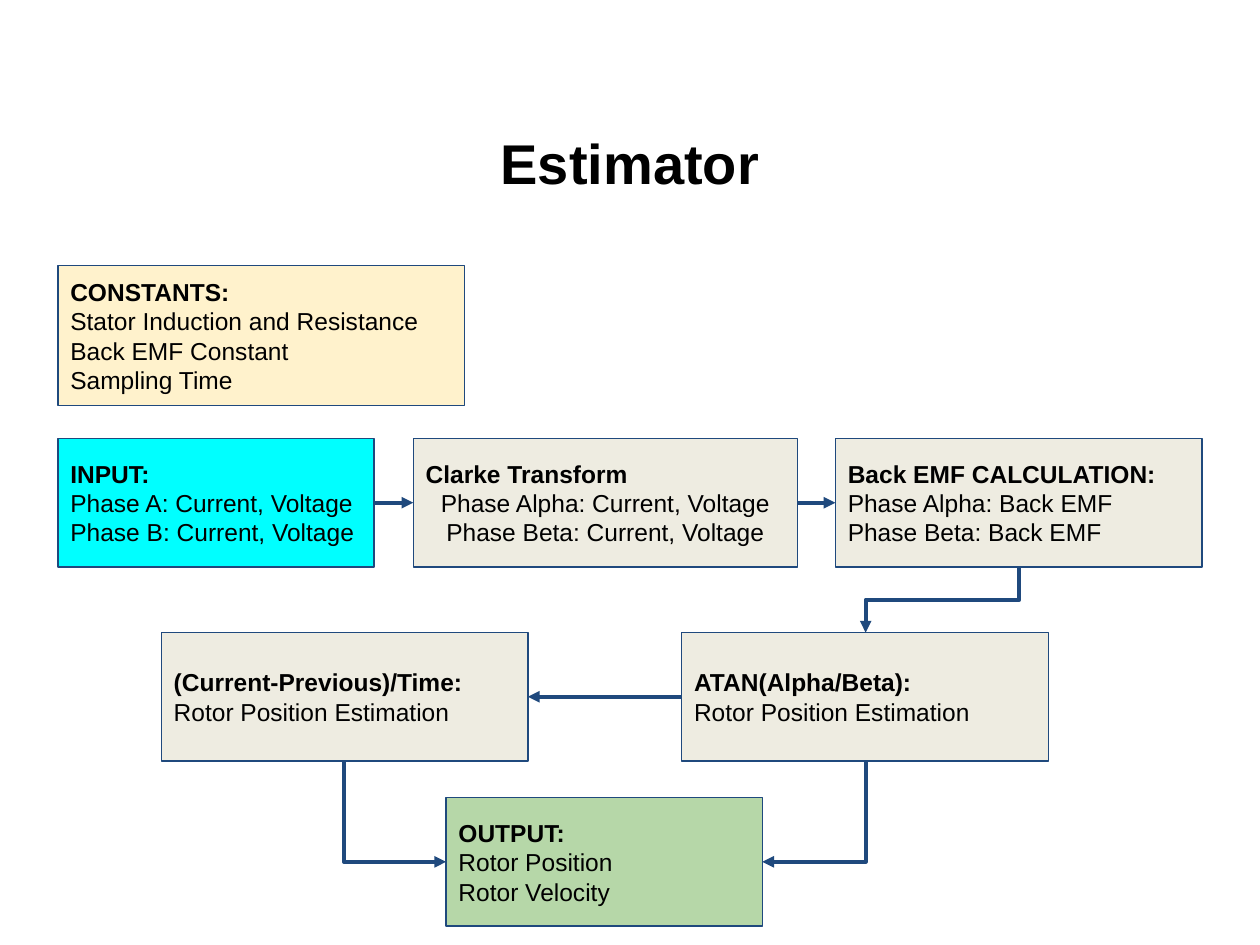
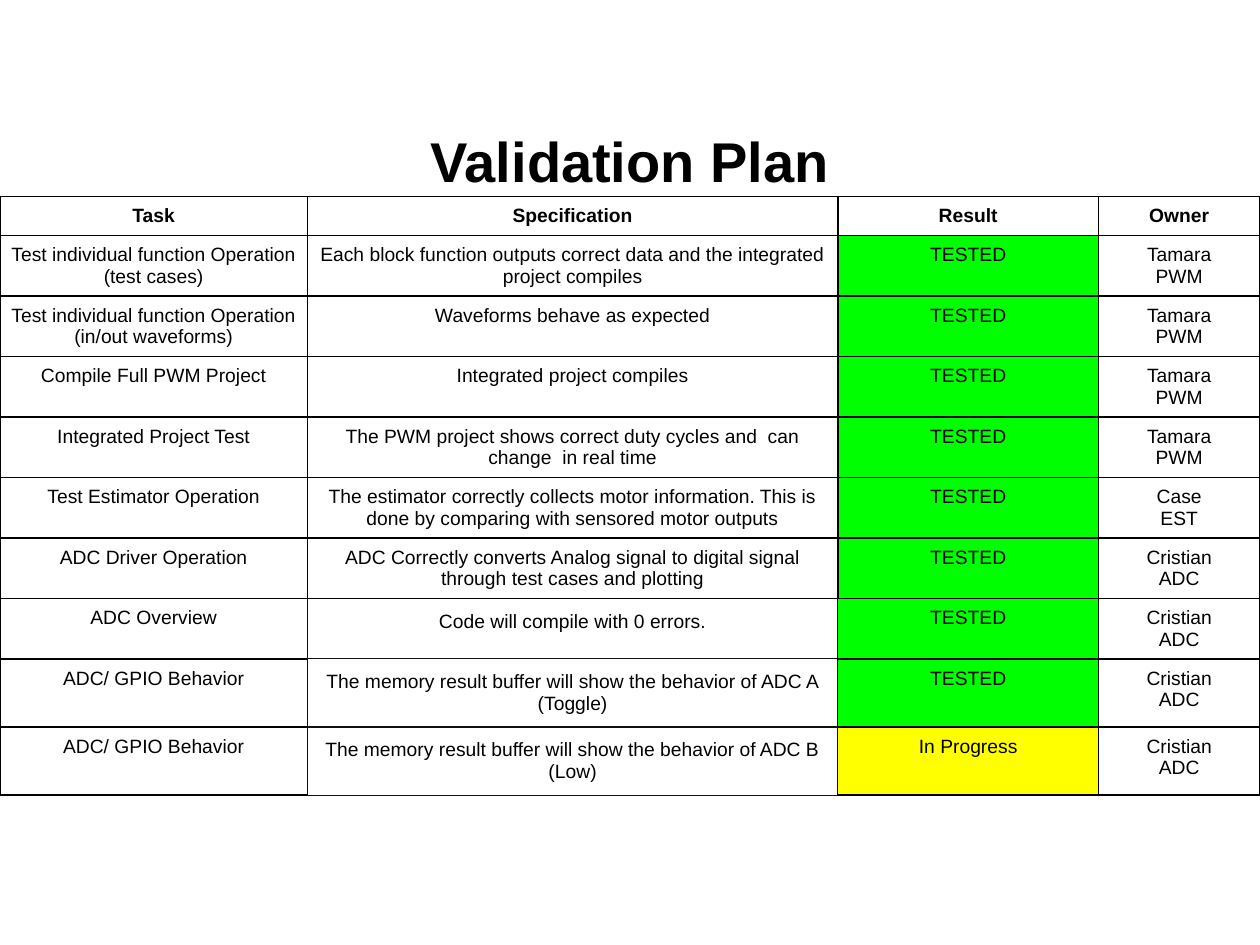
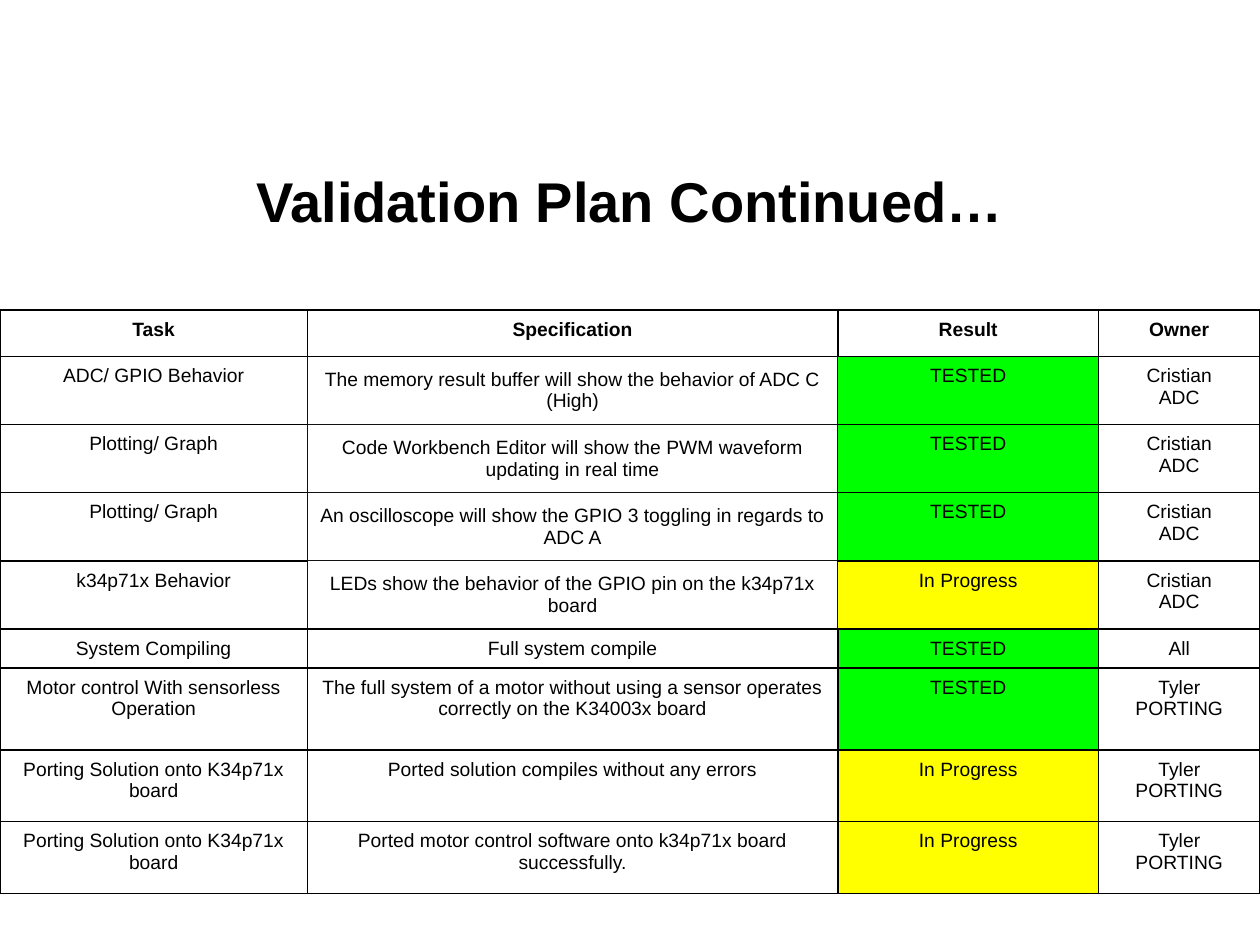
"""Build three slides: the estimator flow and the two-part validation plan."""
from lxml.etree import SubElement
from pptx import Presentation
from pptx.dml.color import RGBColor
from pptx.enum.shapes import MSO_CONNECTOR as LINK, MSO_SHAPE as SHAPE
from pptx.enum.text import MSO_ANCHOR as ANCHOR, MSO_AUTO_SIZE as AUTO, PP_ALIGN as ALIGN
from pptx.oxml.ns import qn
from pptx.util import Inches, Pt

COLORS = {
    "text": "000000", "line": "1F497D", "input": "00FFFF", "step": "EEECE1",
    "constants": "FFF2CC", "output": "B6D7A8", "thin": "111111",
    "TESTED": "00FF00", "In Progress": "FFFF00",
}
COLORS = {name: RGBColor.from_string(value) for name, value in COLORS.items()}
TITLE = {"name": "Arial", "size": Pt(32), "bold": True}
HEADING = {"name": "Arial", "size": Pt(14), "bold": True}
DETAIL = {**HEADING, "bold": False}
CELL = {"name": "Arial", "size": Pt(11), "bold": False}
CELL_HEAD = {**CELL, "bold": True}
SIDE = {"top": 0, "left": 1, "bottom": 2, "right": 3}


def write_lines(frame, lines):
    """Fill a text frame from (text, alignment, format) rows."""
    for index, (text, align, look) in enumerate(lines):
        para = frame.add_paragraph() if index else frame.paragraphs[0]
        para.alignment = align
        span = para.add_run()
        span.text = text
        for name, value in look.items():
            setattr(span.font, name, value)
        span.font.color.rgb = COLORS["text"]


def add_page(title, top):
    """Add a slide with its formatted title."""
    page = deck.slides.add_slide(deck.slide_layouts[5])
    box = page.shapes.title
    place = {"left": 0.5, "top": top, "width": 9, "height": 0.88}
    for name, value in place.items():
        setattr(box, name, Inches(value))
    box.text_frame.auto_size = AUTO.NONE
    box.text_frame.vertical_anchor = ANCHOR.MIDDLE
    write_lines(box.text_frame, [(title, ALIGN.CENTER, TITLE)])
    return page


deck = Presentation()
deck.slide_width, deck.slide_height = Inches(10), Inches(7.5)

page = add_page("Estimator", 0.85)
blocks = [
    ("constants", "constants", (0.46, 2.11, 3.23, 1.11), ALIGN.LEFT,
     ["CONSTANTS:", "Stator Induction and Resistance", "Back EMF Constant", "Sampling Time"]),
    ("input", "input", (0.46, 3.48, 2.51, 1.02), ALIGN.LEFT,
     ["INPUT:", "Phase A: Current, Voltage", "Phase B: Current, Voltage"]),
    ("clarke", "step", (3.28, 3.48, 3.05, 1.02), ALIGN.CENTER,
     ["Clarke Transform", "Phase Alpha: Current, Voltage", "Phase Beta: Current, Voltage"]),
    ("back_emf", "step", (6.63, 3.48, 2.91, 1.02), ALIGN.LEFT,
     ["Back EMF CALCULATION:", "Phase Alpha: Back EMF", "Phase Beta: Back EMF"]),
    ("position", "step", (5.41, 5.02, 2.91, 1.02), ALIGN.LEFT,
     ["ATAN(Alpha/Beta):", "Rotor Position Estimation"]),
    ("velocity", "step", (1.28, 5.02, 2.91, 1.02), ALIGN.LEFT,
     ["(Current-Previous)/Time:", "Rotor Position Estimation"]),
    ("output", "output", (3.54, 6.33, 2.51, 1.02), ALIGN.LEFT,
     ["OUTPUT:", "Rotor Position", "Rotor Velocity"]),
]
boxes = {}
for key, color, place, align, (heading, *details) in blocks:
    box = page.shapes.add_shape(SHAPE.RECTANGLE, *map(Inches, place))
    box.shadow.inherit = False
    box.fill.solid()
    box.fill.fore_color.rgb = COLORS[color]
    box.line.color.rgb = COLORS["line"]
    box.line.width = Pt(0.75)
    frame = box.text_frame
    frame.word_wrap = True
    frame.vertical_anchor = ANCHOR.MIDDLE
    for edge in SIDE:
        setattr(frame, f"margin_{edge}", Inches(0.1))
    write_lines(frame, [(heading, ALIGN.LEFT, HEADING)]
                + [(detail, align, DETAIL) for detail in details])
    boxes[key] = box

arrows = []
for start, start_side, end, end_side in [
    ("input", "right", "clarke", "left"),
    ("clarke", "right", "back_emf", "left"),
    ("position", "left", "velocity", "right"),
]:
    arrow = page.shapes.add_connector(LINK.STRAIGHT, 0, 0, 0, 0)
    arrow.begin_connect(boxes[start], SIDE[start_side])
    arrow.end_connect(boxes[end], SIDE[end_side])
    arrows.append(arrow)

for (start_x, start_y), (end_x, end_y), preset in [
    ((8.09, 4.5), (6.87, 5.02), "bentConnector3"),
    ((6.87, 6.04), (6.05, 6.84), "bentConnector2"),
    ((2.73, 6.04), (3.54, 6.84), "bentConnector2"),
]:
    width, height = end_y - start_y, abs(end_x - start_x)
    left = (start_x + end_x - width) / 2
    top = (start_y + end_y - height) / 2
    arrow = page.shapes.add_connector(
        LINK.ELBOW, *map(Inches, (left, top, left + width, top + height)))
    shape_xml = arrow._element.spPr
    shape_xml.find(qn("a:prstGeom")).set("prst", preset)
    turn = {"rot": "5400000"} if end_x < start_x else {"rot": "16200000", "flipH": "1"}
    for name, value in turn.items():
        shape_xml.find(qn("a:xfrm")).set(name, value)
    arrows.append(arrow)

for arrow in arrows:
    arrow.line.color.rgb = COLORS["line"]
    arrow.line.width = Pt(2.25)
    shape_xml = arrow._element.spPr
    SubElement(shape_xml.find(qn("a:ln")), qn("a:tailEnd"), type="triangle")
    SubElement(shape_xml, qn("a:effectLst"))

header = ("Task", "Specification", "Result", "Owner")
pwm, adc, porting = "Tamara\nPWM", "Cristian\nADC", "Tyler\nPORTING"
done, busy = "TESTED", "In Progress"
plans = [
    ("Validation Plan", 0.83, 1.56, [0.31] + [0.48] * 7 + [0.54] * 2, range(7, 10), [
        ("Test individual function Operation\n(test cases)",
         "Each block function outputs correct data and the integrated project compiles", done, pwm),
        ("Test individual function Operation\n(in/out waveforms)",
         "Waveforms behave as expected", done, pwm),
        ("Compile Full PWM Project", "Integrated project compiles", done, pwm),
        ("Integrated Project Test",
         "The PWM project shows correct duty cycles and  can change  in real time", done, pwm),
        ("Test Estimator Operation",
         "The estimator correctly collects motor information. "
         "This is done by comparing with sensored motor outputs", done, "Case\nEST"),
        ("ADC Driver Operation",
         "ADC Correctly converts Analog signal to digital signal "
         "through test cases and plotting", done, adc),
        ("ADC Overview", "Code will compile with 0 errors.", done, adc),
        ("ADC/ GPIO Behavior",
         "The memory result buffer will show the behavior of ADC A (Toggle)", done, adc),
        ("ADC/ GPIO Behavior",
         "The memory result buffer will show the behavior of ADC B (Low)", busy, adc),
    ]),
    ("Validation Plan Continued…", 1.15, 2.46,
     [0.37] + [0.54] * 4 + [0.31, 0.65, 0.57, 0.57], range(1, 5), [
        ("ADC/ GPIO Behavior",
         "The memory result buffer will show the behavior of ADC C (High)", done, adc),
        ("Plotting/ Graph",
         "Code Workbench Editor will show the PWM waveform updating in real time", done, adc),
        ("Plotting/ Graph",
         "An oscilloscope will show the GPIO 3 toggling in regards to ADC A", done, adc),
        ("k34p71x Behavior",
         "LEDs show the behavior of the GPIO pin on the k34p71x board", busy, adc),
        ("System Compiling", "Full system compile", done, "All"),
        ("Motor control With sensorless Operation",
         "The full system of a motor without using a sensor "
         "operates correctly on the K34003x board", done, porting),
        ("Porting Solution onto K34p71x board",
         "Ported solution compiles without any errors", busy, porting),
        ("Porting Solution onto K34p71x board",
         "Ported motor control software onto k34p71x board successfully.", busy, porting),
    ]),
]
thin_edges = {0: "R", 1: "LRTB", 2: "L", 3: ""}
for title, title_top, table_top, heights, padded_rows, tasks in plans:
    page = add_page(title, title_top)
    frame = page.shapes.add_table(
        len(heights), len(header), 0, Inches(table_top), Inches(10), Inches(sum(heights)))
    table = frame.table
    table.first_row = table.horz_banding = False
    for column, width in zip(table.columns, [2.44, 4.21, 2.07, 1.28]):
        column.width = Inches(width)
    for row, height in zip(table.rows, heights):
        row.height = Inches(height)
    for row_index, texts in enumerate([header, *tasks]):
        padded = row_index in padded_rows
        for column_index, text in enumerate(texts):
            cell = table.cell(row_index, column_index)
            margin = 0.1 if padded and column_index == 1 else 0.07
            for edge in SIDE:
                setattr(cell, f"margin_{edge}", Inches(margin))
            cell_xml = cell._tc.get_or_add_tcPr()
            for edge in "LRTB":
                thin = padded and edge in thin_edges[column_index]
                border = SubElement(cell_xml, qn(f"a:ln{edge}"), w=str(Pt(0.75 if thin else 1)))
                fill = SubElement(border, qn("a:solidFill"))
                SubElement(fill, qn("a:srgbClr"), val=str(COLORS["thin" if thin else "text"]))
            if text in COLORS:
                cell.fill.solid()
                cell.fill.fore_color.rgb = COLORS[text]
            else:
                cell.fill.background()
            look = CELL if row_index else CELL_HEAD
            write_lines(cell.text_frame,
                        [(line, ALIGN.CENTER, look) for line in text.split("\n")])

deck.save("out.pptx")
